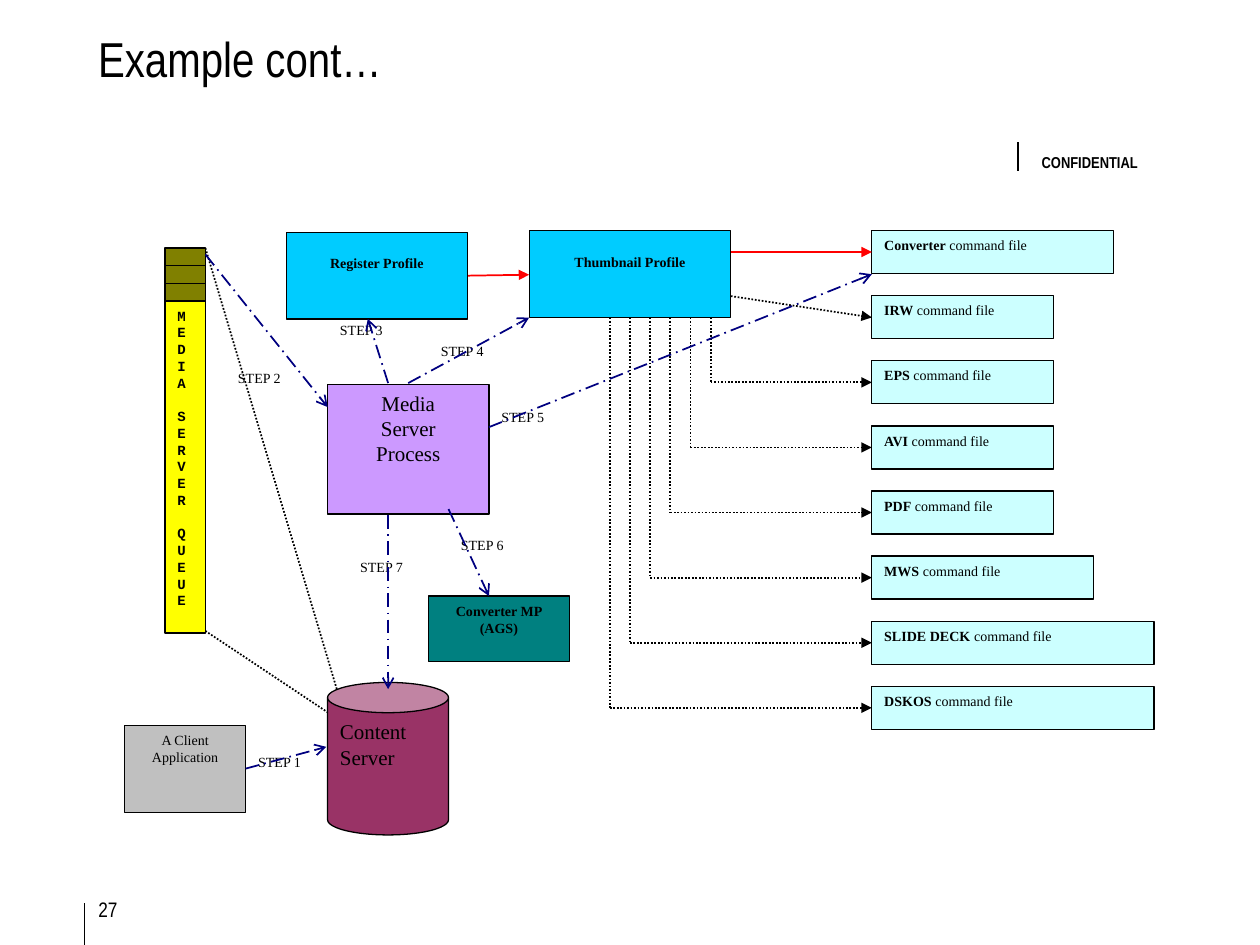
"""Build the media server workflow example slide."""
from lxml import etree
from pptx import Presentation
from pptx import util as u
from pptx.dml import color
from pptx.enum import dml, shapes, text
from pptx.oxml import ns

COLORS = {"ink": "000000", "teal": "008080", "ice": "CCFFFF", "sky": "00CCFF",
          "lilac": "CC99FF", "plum": "993366", "grey": "C0C0C0", "yellow": "FFFF00",
          "olive": "808000", "red": "FF0000", "navy": "000080"}
SERIF, NARROW, MONO = "Times New Roman", "Arial Narrow", "Courier New"
RECT, CAN = shapes.MSO_SHAPE.RECTANGLE, shapes.MSO_SHAPE.CAN
LEFT, CENTER, RIGHT = text.PP_ALIGN.LEFT, text.PP_ALIGN.CENTER, text.PP_ALIGN.RIGHT
DOT, DASH = dml.MSO_LINE.ROUND_DOT, dml.MSO_LINE.LONG_DASH_DOT

FILE_LEFT, FILE_TOP, FILE_STEP, FILE_HEIGHT = 498.2, 131.8, 37.2, 24.6
FILES = [("Converter", 138.2), ("IRW", 103.7), ("EPS", 103.7), ("AVI", 103.7),
         ("PDF", 103.7), ("MWS", 126.7), ("SLIDE DECK", 161.3), ("DSKOS", 161.3)]
BRANCH_LEFT, BRANCH_STEP, BRANCH_TOP = 406.1, 11.52, 181.5
STEP_LABELS = [("STEP 3", 187.2, 180), ("STEP 4", 244.8, 192.3), ("STEP 5", 279.4, 229.7),
               ("STEP 6", 256.3, 303.2), ("STEP 2", 128.9, 207.4), ("STEP 1", 140.4, 427),
               ("STEP 7", 198.7, 315.4)]
STEP_ARROWS = [(221.8, 218.9, 210.2, 182.2), (233.3, 218.9, 302.4, 181.5),
               (279.4, 244.1, 498.2, 156.7), (256.3, 290.9, 279.4, 340.6),
               (117.4, 145.4, 187.2, 232.6), (140.4, 439.2, 186.5, 426.8),
               (221.8, 294.5, 221.8, 393.8)]


def rgb(name):
    """Return the named colour."""
    return color.RGBColor.from_string(COLORS[name])


def write(sp, words, size=8, font=SERIF, bold=False, align=LEFT):
    """Put text in a shape, one paragraph a line, and format its runs."""
    tf = sp.text_frame
    tf.word_wrap = True
    tf.vertical_anchor = text.MSO_ANCHOR.TOP
    tf.text = words
    for p in tf.paragraphs:
        p.alignment = align
        for r in p.runs:
            r.font.size, r.font.name, r.font.bold = u.Pt(size), font, bold
            r.font.color.rgb = rgb("ink")
    return tf


def add_label(s, words, x, y, w, h, **style):
    """Add a text box."""
    sp = s.shapes.add_textbox(u.Pt(x), u.Pt(y), u.Pt(w), u.Pt(h))
    return write(sp, words, **style)


def add_box(s, fill, x, y, w, h, words="", kind=RECT, **style):
    """Add a filled and outlined shape with text."""
    sp = s.shapes.add_shape(kind, u.Pt(x), u.Pt(y), u.Pt(w), u.Pt(h))
    sp.shadow.inherit = False
    sp.fill.solid()
    sp.fill.fore_color.rgb = rgb(fill)
    sp.line.color.rgb = rgb("ink")
    sp.line.width = u.Pt(0.75)
    return write(sp, words, **style)


def add_line(s, x1, y1, x2, y2, name="ink", width=1, dash=None, head=None):
    """Add a straight line, dashed or with an arrowhead at its end if asked."""
    sp = s.shapes.add_connector(shapes.MSO_CONNECTOR.STRAIGHT,
                                u.Pt(x1), u.Pt(y1), u.Pt(x2), u.Pt(y2))
    sp.line.color.rgb = rgb(name)
    sp.line.width = u.Pt(width)
    if dash:
        sp.line.dash_style = dash
    if head:
        etree.SubElement(sp.line._get_or_add_ln(), ns.qn("a:tailEnd"), type=head)
    etree.SubElement(sp._element.spPr, ns.qn("a:effectLst"))


def add_profile(s, words, x, y, w):
    """Add a profile box whose title starts one line down."""
    tf = add_box(s, "sky", x, y, w, 49.7, words, bold=True, align=CENTER)
    tf.margin_top = u.Pt(13)


def add_command_file(s, i, name, width):
    """Add a command file box with its kind in bold."""
    tf = add_box(s, "ice", FILE_LEFT, FILE_TOP + i * FILE_STEP, width, FILE_HEIGHT,
                 name, bold=True)
    r = tf.paragraphs[0].add_run()
    r.text = " command file"
    r.font.size, r.font.name, r.font.bold = u.Pt(8), SERIF, False
    r.font.color.rgb = rgb("ink")


def add_branch(s, i):
    """Add the dotted elbow from the thumbnail profile to a command file."""
    x = BRANCH_LEFT - (i - 2) * BRANCH_STEP
    y = FILE_TOP + i * FILE_STEP + FILE_HEIGHT / 2
    add_line(s, x, y, FILE_LEFT, y, dash=DOT, head="triangle")
    add_line(s, x, BRANCH_TOP, x, y, dash=DOT)


def add_queue(s):
    """Add the queue with its vertical name and three slots."""
    words = ["MEDIA", "SERVER", "QUEUE"]
    tf = add_box(s, "yellow", 94.3, 172, 23.1, 189.8, "\n".join("".join(words)),
                 font=MONO, bold=True)
    for first in (len(words[0]), len(words[0] + words[1])):
        tf.paragraphs[first].space_before = u.Pt(9.5)
    for i in range(3):
        add_box(s, "olive", 94.3, 141.8 + i * 10.08, 23.1, 10.08)


def add_frame(s):
    """Add the title, the confidential mark and the page number."""
    add_line(s, 48.2, 516.2, 48.2, 540, width=0.75)
    add_label(s, "CONFIDENTIAL", 588.2, 83.5, 83.5, 18, size=9, font=NARROW, bold=True)
    add_line(s, 581.8, 81.4, 581.8, 97.9, width=0.75)
    tf = add_label(s, "Example cont…", 49, 10.8, 622.8, 48.2, size=28, font=NARROW)
    tf.vertical_anchor = text.MSO_ANCHOR.MIDDLE
    tf.paragraphs[0].line_spacing = 0.95
    add_label(s, "27", 0, 509, 74.2, 31, size=12, font=NARROW, align=RIGHT)


def main():
    """Build and save the slide."""
    prs = Presentation()
    prs.slide_width, prs.slide_height = u.Pt(720), u.Pt(540)
    s = prs.slides.add_slide(prs.slide_layouts[6])
    add_frame(s)
    add_box(s, "teal", 244.8, 340.6, 80.6, 37.4, "Converter MP (AGS)",
            bold=True, align=CENTER)
    for i, (name, width) in enumerate(FILES):
        add_command_file(s, i, name, width)
    add_line(s, 105.8, 352.8, 198.7, 414.7, dash=DOT)
    add_line(s, 117.4, 141.8, 198.7, 414.7, dash=DOT)
    for words, x, y in STEP_LABELS:
        add_label(s, words, x, y, 57.6, 24.5)
    add_profile(s, "Thumbnail Profile", 302.4, 131.8, 115.2)
    add_line(s, 256.3, 157.7, 302.4, 157, "red", head="triangle")
    add_box(s, "lilac", 187.2, 219.6, 92.2, 74.2, "Media\nServer\nProcess",
            size=12, align=CENTER)
    add_line(s, 417.6, 144, FILE_LEFT, 144, "red", head="triangle")
    add_line(s, 417.6, 169.2, FILE_LEFT, 181.4, dash=DOT, head="triangle")
    for i in range(2, len(FILES)):
        add_branch(s, i)
    add_profile(s, "Register Profile", 163.6, 132.7, 103.7)
    add_box(s, "plum", 187.2, 390, 69.1, 87.1, "Content\nServer", kind=CAN, size=12)
    add_box(s, "grey", 71.3, 414.7, 69.1, 49.7, "A Client\nApplication", align=CENTER)
    add_queue(s)
    for ends in STEP_ARROWS:
        add_line(s, *ends, "navy", dash=DASH, head="arrow")
    prs.save("out.pptx")


if __name__ == "__main__":
    main()
